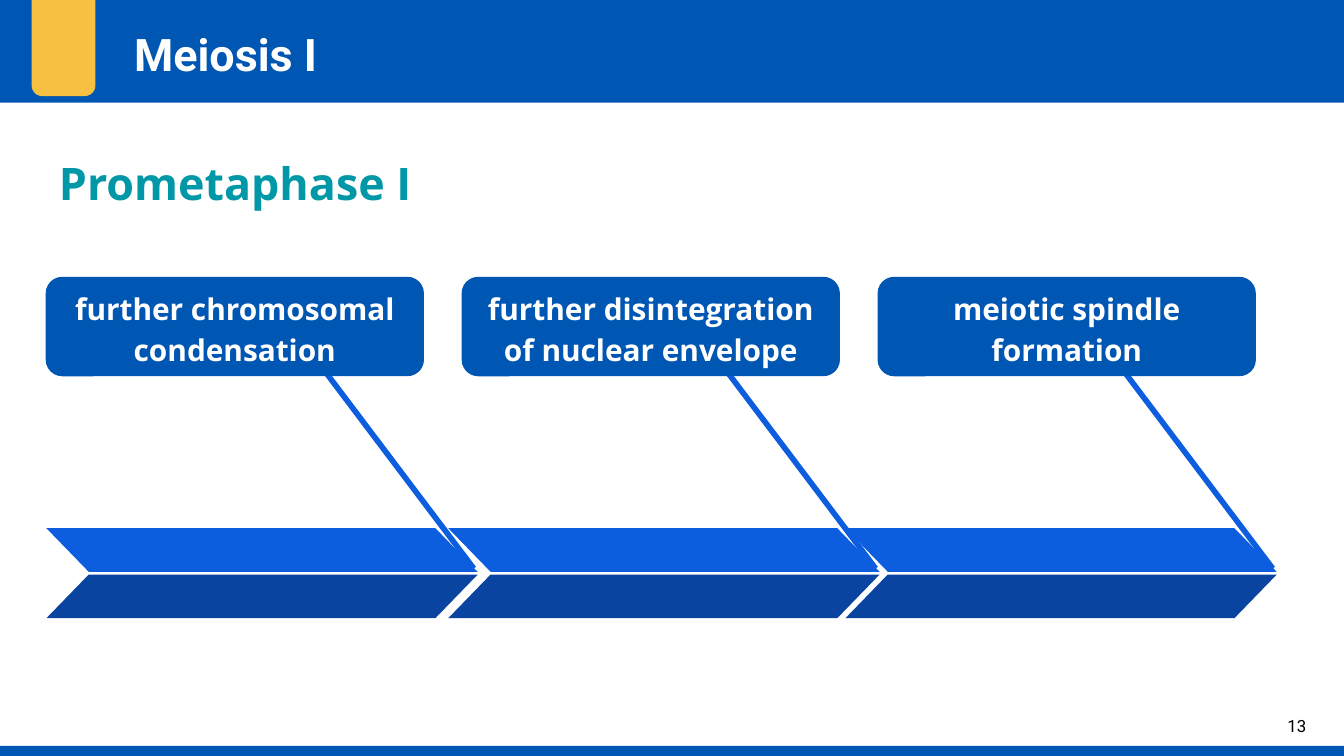
from pptx import Presentation
from pptx.dml.color import RGBColor
from pptx.enum.shapes import MSO_CONNECTOR as Connector, MSO_SHAPE as Shape
from pptx.enum.text import MSO_ANCHOR as Anchor, PP_ALIGN as Align
from pptx.oxml.ns import qn
from pptx.util import Pt
from lxml import etree

PX = 4572  # 200 px to the inch
BLUE = RGBColor(0x00, 0x56, 0xB3)
BRIGHT = RGBColor(0x0D, 0x5D, 0xDF)
NAVY = RGBColor(0x09, 0x44, 0xA1)
YELLOW = RGBColor(0xF6, 0xC1, 0x42)
TEAL = RGBColor(0x00, 0x97, 0xA7)
WHITE = RGBColor(0xFF, 0xFF, 0xFF)
BLACK = RGBColor(0x00, 0x00, 0x00)

deck = Presentation()
deck.slide_width, deck.slide_height = 2000 * PX, 1125 * PX
page = deck.slides.add_slide(deck.slide_layouts[6])


def add_block(kind, left, top, width, height, color):
    block = page.shapes.add_shape(kind, left * PX, top * PX, width * PX, height * PX)
    block.shadow.inherit = False
    block.fill.solid()
    block.fill.fore_color.rgb = color
    block.line.fill.background()
    return block


def write(box, text, *, size, font, color, bold=True, align=Align.LEFT,
          anchor=Anchor.TOP, spacing=1.0):
    frame = box.text_frame
    frame.word_wrap = True
    frame.vertical_anchor = anchor
    frame.margin_left = frame.margin_right = 20 * PX
    frame.margin_top = frame.margin_bottom = 20 * PX
    para = frame.paragraphs[0]
    para.alignment = align
    para.line_spacing = spacing
    span = para.add_run()
    span.text = text
    span.font.size = Pt(size)
    span.font.name = font
    span.font.bold = bold
    span.font.color.rgb = color


# Header band, tab and footer band
add_block(Shape.RECTANGLE, -1, -1, 2002, 154, BLUE)
add_block(Shape.ROUNDED_RECTANGLE, 47, -24, 95, 167, YELLOW)
add_block(Shape.RECTANGLE, -1, 1110, 2002, 15, BLUE)

# Page number, subtitle and title
number = page.shapes.add_textbox(1870 * PX, 1037 * PX, 120 * PX, 86 * PX)
write(number, "13", size=9, font="Roboto", color=BLACK, bold=False,
      align=Align.CENTER, anchor=Anchor.MIDDLE)
subtitle = page.shapes.add_textbox(68 * PX, 200 * PX, 1802 * PX, 148 * PX)
write(subtitle, "Prometaphase I", size=24, font="Open Sans", color=TEAL, spacing=1.15)
title = page.shapes.add_textbox(180 * PX, 20 * PX, 1444 * PX, 114 * PX)
write(title, "Meiosis I", size=24, font="Roboto", color=WHITE)

# Arrows: a stem behind two mirrored halves
for left in (69, 667, 1258):
    stem = page.shapes.add_connector(
        Connector.STRAIGHT, (left + 384) * PX, 512 * PX, (left + 636) * PX, 846 * PX)
    stem.line.color.rgb = BRIGHT
    stem.line.width = Pt(3)
    etree.SubElement(stem._element.spPr, qn("a:effectLst"))

    upper = add_block(Shape.PARALLELOGRAM, left, 786, 642, 65, BRIGHT)
    upper._element.spPr.find(qn("a:xfrm")).set("flipH", "1")
    lower = add_block(Shape.PARALLELOGRAM, left, 855, 642, 65, NAVY)
    for half in (upper, lower):
        half.adjustments[0] = 0.97

# Event labels, evenly spaced
events = (
    "further chromosomal condensation",
    "further disintegration of nuclear envelope",
    "meiotic spindle formation",
)
for index, event in enumerate(events):
    label = add_block(Shape.ROUNDED_RECTANGLE, 68 + 619 * index, 412, 563, 148, BLUE)
    write(label, event, size=16, font="Open Sans", color=WHITE,
          align=Align.CENTER, anchor=Anchor.MIDDLE, spacing=1.15)

deck.save("out.pptx")
